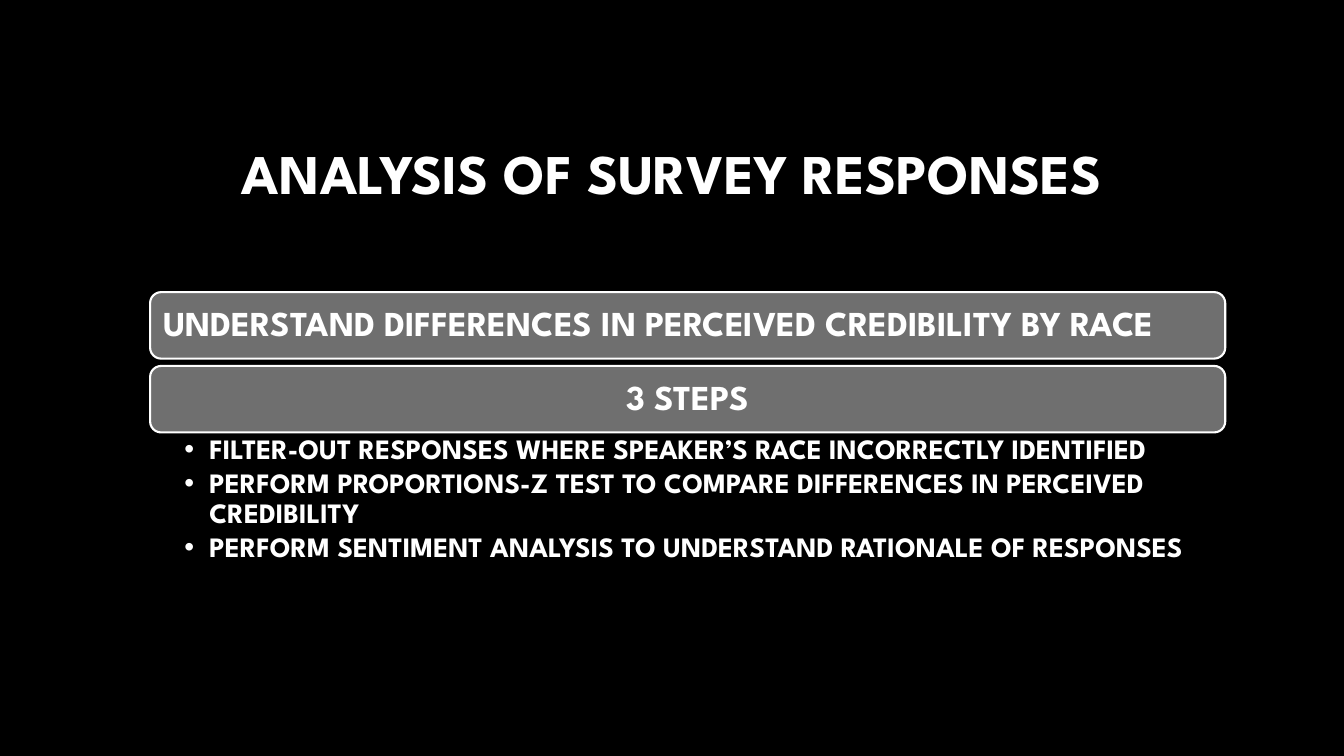
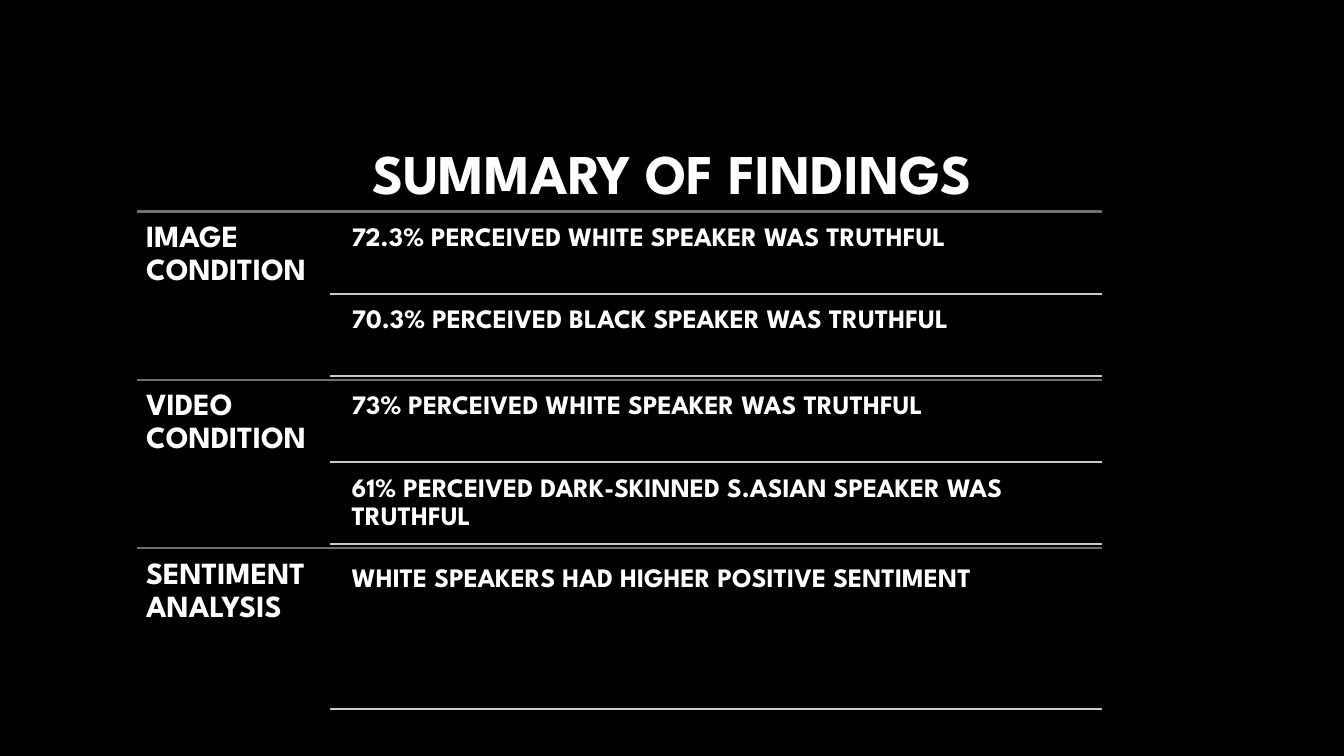
from dataclasses import dataclass

from lxml import etree
from pptx import Presentation
from pptx.dml.color import RGBColor
from pptx.enum.shapes import MSO_CONNECTOR, MSO_SHAPE
from pptx.enum.text import MSO_ANCHOR, PP_ALIGN
from pptx.oxml.ns import qn
from pptx.util import Pt

LEFT, CENTER = PP_ALIGN.LEFT, PP_ALIGN.CENTER
TOP, MIDDLE = MSO_ANCHOR.TOP, MSO_ANCHOR.MIDDLE
ROUNDED, STRAIGHT = MSO_SHAPE.ROUNDED_RECTANGLE, MSO_CONNECTOR.STRAIGHT


@dataclass(frozen=True)
class Theme:
    font: str = "League Spartan"
    background: RGBColor = RGBColor(0, 0, 0)
    text: RGBColor = RGBColor(255, 255, 255)
    gray: RGBColor = RGBColor(0x6F, 0x6F, 0x6F)
    light_gray: RGBColor = RGBColor(0xC8, 0xC8, 0xC8)
    title_size: float = 40
    bar_size: float = 25
    section_size: float = 22
    bullet_size: float = 20
    finding_size: float = 19
    line_width: float = 1.5


theme = Theme()


def write_text(shape, lines, size, insets, align=LEFT, anchor=TOP, spacing=0.9, after=0):
    frame = shape.text_frame
    frame.word_wrap = True
    frame.vertical_anchor = anchor
    frame.margin_left, frame.margin_top, frame.margin_right, frame.margin_bottom = map(Pt, insets)
    for index, line in enumerate(lines):
        paragraph = frame.add_paragraph() if index else frame.paragraphs[0]
        paragraph.alignment = align
        paragraph.line_spacing = spacing
        paragraph.space_after = Pt(after)
        run = paragraph.add_run()
        run.text = line
        run.font.name = theme.font
        run.font.size = Pt(size)
        run.font.bold = True
        run.font.color.rgb = theme.text
    return frame.paragraphs


def add_rule(slide, left, right, y, color):
    rule = slide.shapes.add_connector(STRAIGHT, Pt(left), Pt(y), Pt(right), Pt(y))
    rule.line.color.rgb = color
    rule.line.width = Pt(theme.line_width)
    etree.SubElement(rule._element.spPr, qn("a:effectLst"))


# Presentation and shared background
presentation = Presentation()
presentation.slide_width, presentation.slide_height = Pt(960), Pt(540)
background = presentation.slide_master.background.fill
background.solid()
background.fore_color.rgb = theme.background

# Slides with their titles
slides = []
for title in ("ANALYSIS OF SURVEY RESPONSES", "SUMMARY OF FINDINGS"):
    slide = presentation.slides.add_slide(presentation.slide_layouts[6])
    title_box = slide.shapes.add_textbox(Pt(90), Pt(48), Pt(780), Pt(150))
    write_text(title_box, [title], theme.title_size, (7.2, 3.6, 7.2, 3.6),
               CENTER, MIDDLE, spacing=1.0)
    slides.append(slide)
analysis, summary = slides

# Analysis: bars
bar_left, bar_top, bar_width, bar_height, bar_pitch = 107.2, 208.7, 768, 47.5, 52.7
bars = [
    ("UNDERSTAND DIFFERENCES IN PERCEIVED CREDIBILITY BY RACE", LEFT),
    ("3 STEPS", CENTER),
]
for index, (label, align) in enumerate(bars):
    bar = analysis.shapes.add_shape(ROUNDED, Pt(bar_left), Pt(bar_top + index * bar_pitch),
                                    Pt(bar_width), Pt(bar_height))
    bar.shadow.inherit = False
    bar.fill.solid()
    bar.fill.fore_color.rgb = theme.gray
    bar.line.color.rgb = theme.text
    bar.line.width = Pt(theme.line_width)
    write_text(bar, [label], theme.bar_size, (7.2, 7.2, 7.2, 7.2), align, MIDDLE)

# Analysis: bulleted steps below the bars
steps = [
    "FILTER-OUT RESPONSES WHERE SPEAKER’S RACE INCORRECTLY IDENTIFIED",
    "PERFORM PROPORTIONS-Z TEST TO COMPARE DIFFERENCES IN PERCEIVED CREDIBILITY",
    "PERFORM SENTIMENT ANALYSIS TO UNDERSTAND RATIONALE OF RESPONSES",
]
steps_box = analysis.shapes.add_textbox(Pt(bar_left), Pt(bar_top + bar_pitch + bar_height),
                                        Pt(bar_width), Pt(103.7))
for paragraph in write_text(steps_box, steps, theme.bullet_size, (24.4, 2.2, 13.7, 2.2), after=2.5):
    properties = paragraph._p.get_or_add_pPr()
    properties.set("marL", str(Pt(18)))
    properties.set("indent", str(-Pt(18)))
    etree.SubElement(properties, qn("a:buFont"), typeface="Arial")
    etree.SubElement(properties, qn("a:buChar"), char="•")

# Summary: sections with their findings
sections = [
    ("IMAGE CONDITION", ["72.3% PERCEIVED WHITE SPEAKER WAS TRUTHFUL",
                         "70.3% PERCEIVED BLACK SPEAKER WAS TRUTHFUL"]),
    ("VIDEO CONDITION", ["73% PERCEIVED WHITE SPEAKER WAS TRUTHFUL",
                         "61% PERCEIVED DARK-SKINNED S.ASIAN SPEAKER WAS TRUTHFUL"]),
    ("SENTIMENT ANALYSIS", ["WHITE SPEAKERS HAD HIGHER POSITIVE SENTIMENT"]),
]
section_left, section_top, section_width, section_height = 97.7, 151.1, 138, 120.3
finding_left, rule_left, right = 245.5, 235.7, 787.2
for index, (section, findings) in enumerate(sections):
    top = section_top + index * section_height
    add_rule(summary, section_left, right, top, theme.gray)
    section_box = summary.shapes.add_textbox(Pt(section_left), Pt(top),
                                             Pt(section_width), Pt(section_height))
    write_text(section_box, [section], theme.section_size, (6.6, 6.6, 6.6, 6.6))

    # Findings share the section height, with a gap around each
    gap = 5.6 / len(findings)
    height = (section_height - gap) / len(findings) - gap
    for row, finding in enumerate(findings):
        finding_top = top + gap + row * (height + gap)
        finding_box = summary.shapes.add_textbox(Pt(finding_left), Pt(finding_top),
                                                 Pt(right - finding_left), Pt(height))
        write_text(finding_box, [finding], theme.finding_size, (5.7, 5.7, 5.7, 5.7))
        add_rule(summary, rule_left, right, finding_top + height, theme.light_gray)

presentation.save("out.pptx")
